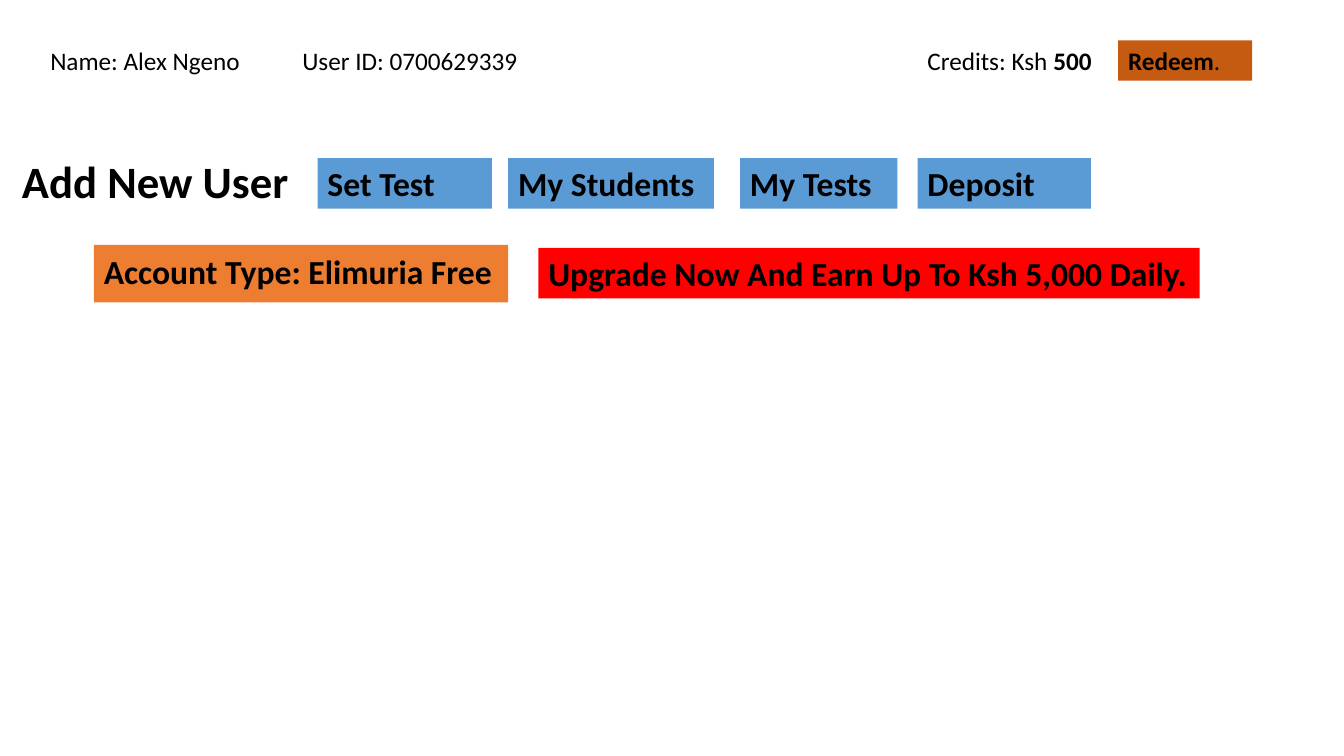
from pptx import Presentation
from pptx.dml.color import RGBColor as RGB
from pptx.enum.shapes import MSO_SHAPE as SHAPE
from pptx.enum.text import MSO_ANCHOR as ANCHOR, MSO_AUTO_SIZE as FIT, PP_ALIGN as ALIGN
from pptx.util import Inches, Pt

THEME = {
    "font": "Calibri", "text": "000000",
    "menu": "5B9BD5", "account": "ED7D31", "redeem": "C55A11", "upgrade": "FF0000",
    "small": 18, "medium": 24, "large": 32,
}

ACCOUNT = ([("Account Type: Elimuria Free", True)], "medium", "account", (0.93, 2.43, 4.11, 0.57))
HEADING = ([("Add New User", True)], "large", None, (0.12, 1.48, 3.03, 0.64))
UPGRADE = ([("Upgrade Now And Earn Up To Ksh 5,000 Daily.", True)],
           "medium", "upgrade", (5.34, 2.46, 6.56, 0.5))

HEADER_TOP, HEADER_HEIGHT = 0.4, 0.4
HEADER = [
    ([("Name: Alex Ngeno\t\tUser ID: 0700629339", False)], None, 0.4, 6.31),
    ([("Credits: Ksh ", False), ("500", True)], None, 9.1, 1.99),
    ([("Redeem", True), (".", False)], "redeem", 11.09, 1.33),
]

MENU_TOP, MENU_HEIGHT = 1.57, 0.5
MENU = [
    ("Set Test", 3.15, 1.73),
    ("My Students", 5.04, 2.04),
    ("My Tests", 7.34, 1.56),
    ("Deposit", 9.1, 1.72),
]


def write(sp, runs, size, anchor=ANCHOR.TOP, fit=FIT.SHAPE_TO_FIT_TEXT):
    tf = sp.text_frame
    for name, value in {"word_wrap": True, "vertical_anchor": anchor, "auto_size": fit}.items():
        setattr(tf, name, value)
    p = tf.paragraphs[0]
    p.alignment = ALIGN.LEFT
    for text, bold in runs:
        r = p.add_run()
        r.text = text
        for name, value in {"name": THEME["font"], "size": Pt(THEME[size]), "bold": bold}.items():
            setattr(r.font, name, value)
        r.font.color.rgb = RGB.from_string(THEME["text"])
    return p


def paint(sp, fill):
    sp.fill.solid()
    sp.fill.fore_color.rgb = RGB.from_string(THEME[fill])


def add_label(s, runs, size, fill, box):
    place = [Inches(v) for v in box]
    if fill:
        sp = s.shapes.add_shape(SHAPE.RECTANGLE, *place)
        sp.shadow.inherit = False
        sp.line.fill.background()
        paint(sp, fill)
    else:
        sp = s.shapes.add_textbox(*place)
    write(sp, runs, size)


def add_title(s, runs, size, fill, box):
    sp = s.shapes.title
    for name, value in zip(("left", "top", "width", "height"), box):
        setattr(sp, name, Inches(value))
    paint(sp, fill)
    p = write(sp, runs, size, ANCHOR.MIDDLE, FIT.NONE)
    p.line_spacing = 0.9


def main():
    prs = Presentation()
    prs.slide_width, prs.slide_height = Inches(13.33), Inches(7.5)
    s = prs.slides.add_slide(prs.slide_layouts[5])
    add_title(s, *ACCOUNT)
    add_label(s, *HEADING)
    for runs, fill, left, width in HEADER:
        add_label(s, runs, "small", fill, (left, HEADER_TOP, width, HEADER_HEIGHT))
    for text, left, width in MENU:
        add_label(s, [(text, True)], "medium", "menu", (left, MENU_TOP, width, MENU_HEIGHT))
    add_label(s, *UPGRADE)
    prs.save("out.pptx")


if __name__ == "__main__":
    main()
